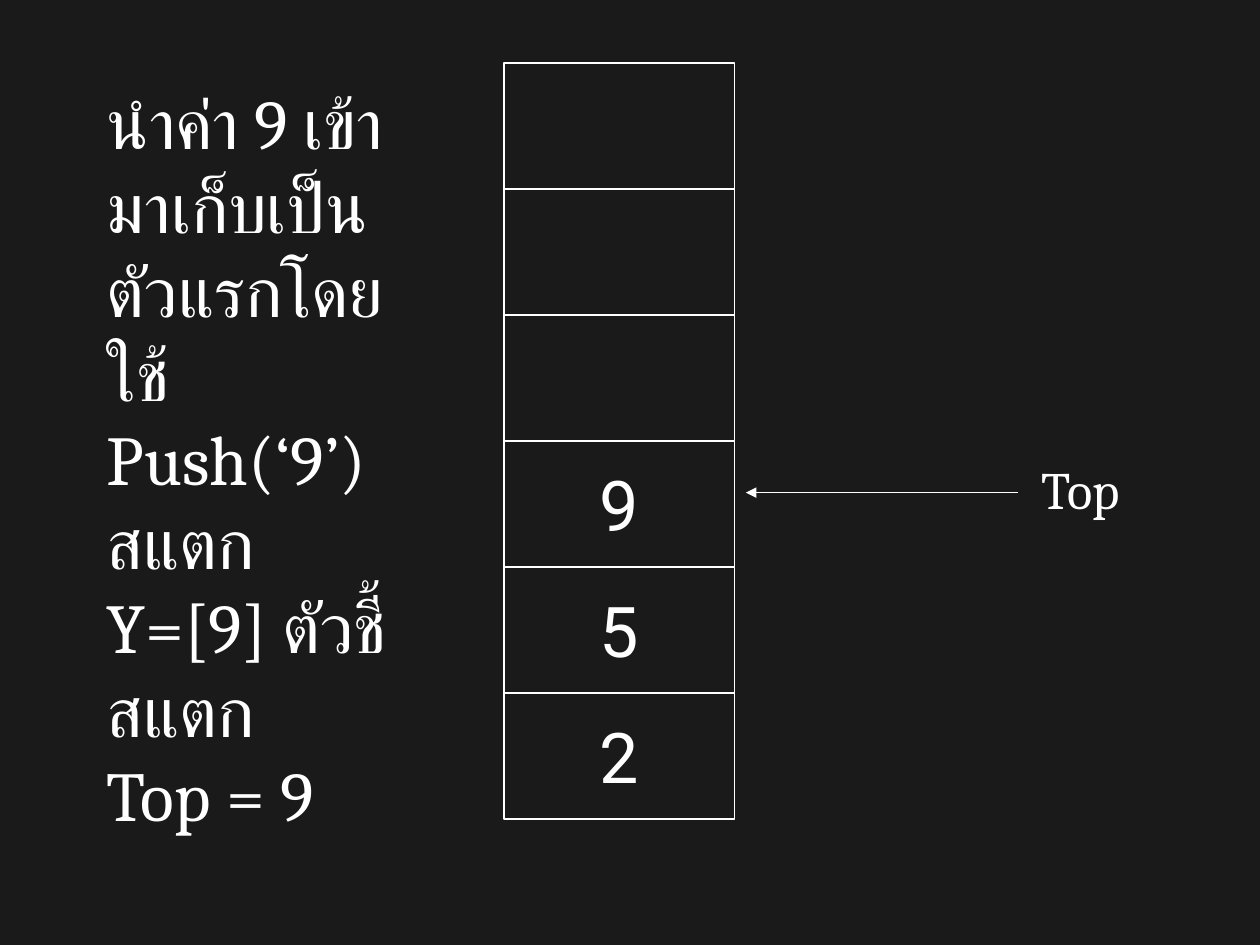
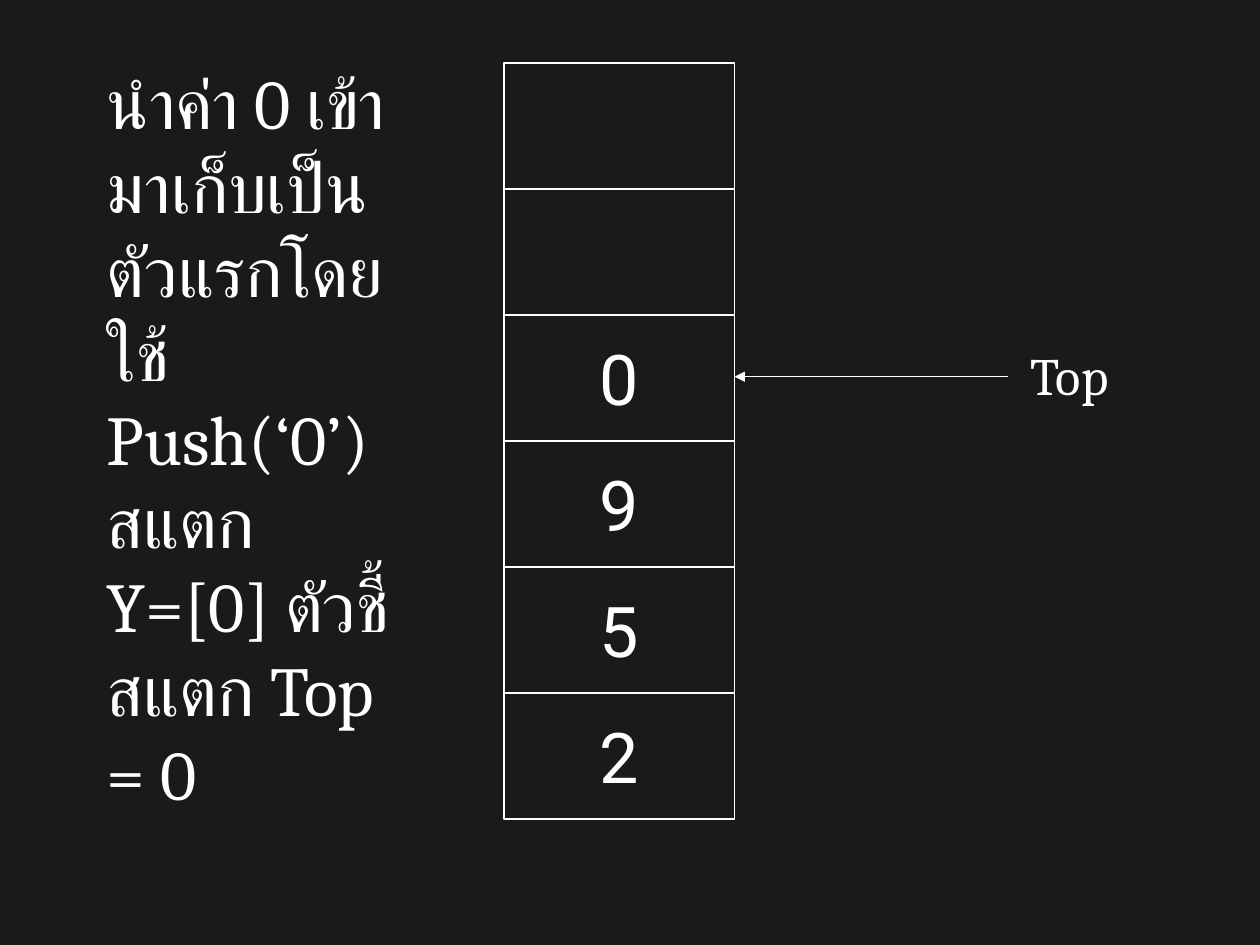
"""Build two slides that show values being pushed onto a stack."""
from lxml.etree import SubElement as Sub
from pptx import Presentation
from pptx.dml.color import RGBColor as RGB
from pptx.enum.lang import MSO_LANGUAGE_ID as Lang
from pptx.enum.shapes import MSO_CONNECTOR as Link, MSO_SHAPE as Kind
from pptx.enum.text import MSO_ANCHOR as Anchor, MSO_AUTO_SIZE as Auto, PP_ALIGN as Align
from pptx.oxml.ns import qn
from pptx.util import Inches as In, Pt

WHITE, DARK = "FFFFFF", "1A1A1A"
ROWS, LEFT, TOP, WIDE, HIGH = 6, 4, 0.5, 1.83, 1


def paint(part, tone):
    if hasattr(part, "solid"):
        part.solid()
        part.fore_color.rgb = RGB.from_string(tone)
    else:
        part.rgb = RGB.from_string(tone)


def write(frame, lines, face, size, wrap=False):
    frame.word_wrap = wrap
    frame.text = "\n".join(lines)
    for para in frame.paragraphs:
        font = para.font
        font.name, font.size = face, Pt(size)
        font.language_id = Lang.THAI
        paint(font.color, WHITE)
        base = para._p.pPr.find(qn("a:defRPr"))
        Sub(base, qn("a:cs"), typeface=face)


steps = [
    (["นำค่า 9 เข้ามาเก็บเป็นตัวแรกโดยใช้ Push(‘9’) สแตก Y=[9] ตัวชี้สแตก", "Top = 9"],
     "259", (0.75, 0.58, 2.52), (5.92, 8.08, 3.91), (8.17, 3.58)),
    (["นำค่า 0 เข้ามาเก็บเป็นตัวแรกโดยใช้ Push(‘0’) สแตก Y=[0] ตัวชี้สแตก Top = 0"],
     "2590", (0.75, 0.42, 2.6), (5.83, 8, 2.99), (8.08, 2.67)),
]

deck = Presentation()
deck.slide_width, deck.slide_height = In(10), In(7.5)

for lines, stack, note, arrow, label in steps:
    slide = deck.slides.add_slide(deck.slide_layouts[6])
    paint(slide.background.fill, DARK)

    group = slide.shapes.add_group_shape()
    for row, value in enumerate(stack.ljust(ROWS)):
        y = TOP + (ROWS - 1 - row) * HIGH
        cell = group.shapes.add_shape(Kind.RECTANGLE, In(LEFT), In(y), In(WIDE), In(HIGH))
        cell.shadow.inherit = False
        cell.fill.background()
        paint(cell.line.fill, WHITE)
        cell.line.width = Pt(0.75)
        if value.strip():
            frame = cell.text_frame
            write(frame, [value], "Roboto", 40)
            frame.vertical_anchor = Anchor.MIDDLE
            frame.paragraphs[0].alignment = Align.CENTER

    x, y, wide = note
    box = slide.shapes.add_textbox(In(x), In(y), In(wide), In(6.1))
    write(box.text_frame, lines, "Cambria", 40, True)
    box.text_frame.auto_size = Auto.SHAPE_TO_FIT_TEXT

    end, start, y = arrow
    line = slide.shapes.add_connector(Link.STRAIGHT, In(start), In(y), In(end), In(y))
    paint(line.line.fill, WHITE)
    line.line.width = Pt(0.75)
    Sub(line.line._get_or_add_ln(), qn("a:tailEnd"), type="triangle")
    Sub(line._element.spPr, qn("a:effectLst"))

    x, y = label
    box = slide.shapes.add_textbox(In(x), In(y), In(0.93), In(0.6))
    write(box.text_frame, ["Top"], "Cambria", 30)
    box.text_frame.auto_size = Auto.SHAPE_TO_FIT_TEXT

deck.save("out.pptx")
